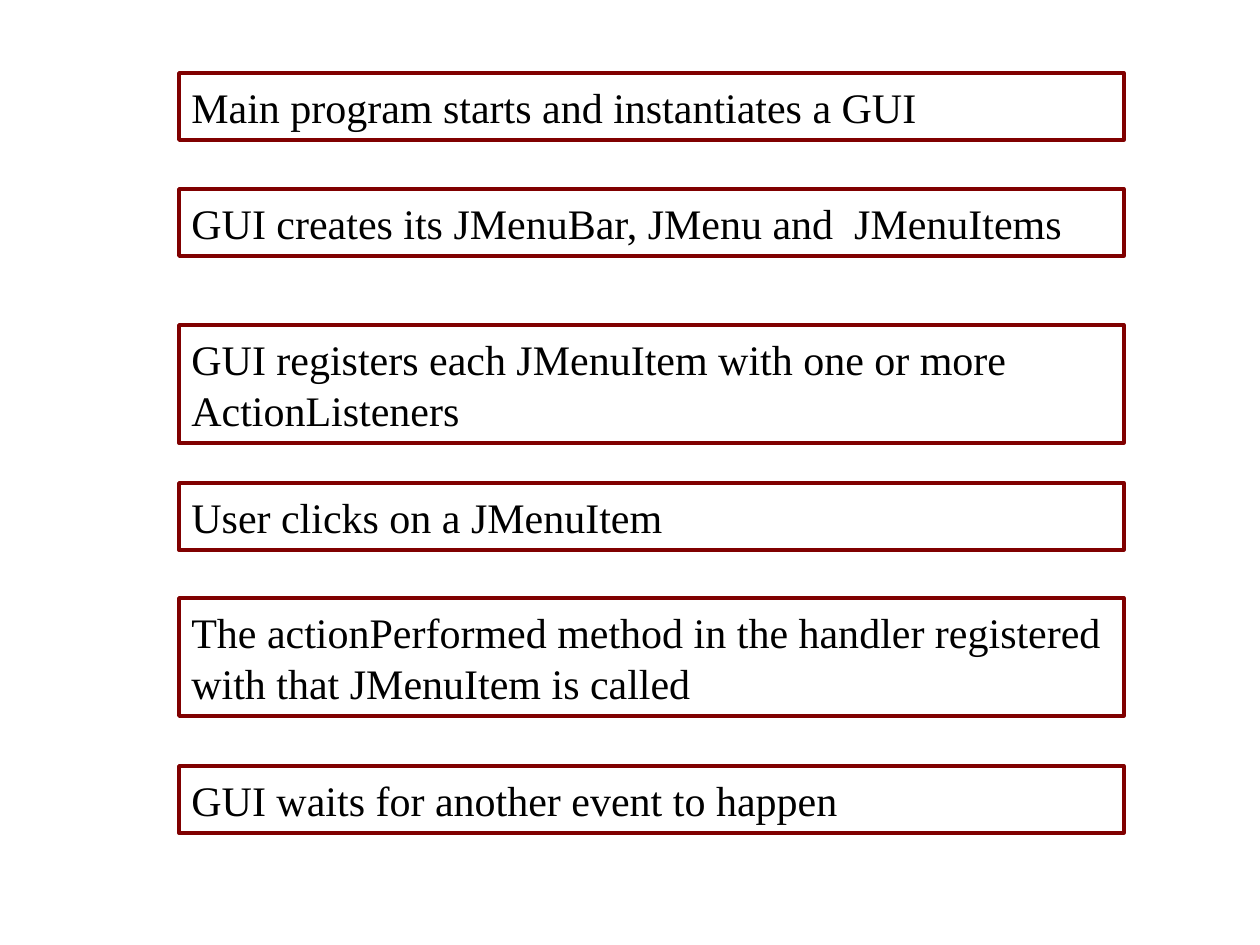
import dataclasses
import pptx
import pptx.dml.color
import pptx.enum.text
import pptx.util

SCALE = 914400 // 126
LEFT, WIDTH = 179, 945
PAD, LINE = 16, 51
FONT = "Times New Roman"


@dataclasses.dataclass
class Step:
    top: int
    text: str
    lines: int = 1


STEPS = [
    Step(73, "Main program starts and instantiates a GUI"),
    Step(189, "GUI creates its JMenuBar, JMenu and  JMenuItems"),
    Step(325, "GUI registers each JMenuItem with one or more ActionListeners", 2),
    Step(483, "User clicks on a JMenuItem"),
    Step(598, "The actionPerformed method in the handler registered with that JMenuItem is called", 2),
    Step(766, "GUI waits for another event to happen"),
]


def px(size: int) -> int:
    return pptx.util.Emu(size * SCALE)


def color(code: str) -> pptx.dml.color.RGBColor:
    return pptx.dml.color.RGBColor.from_string(code)


def draw(slide, step: Step) -> None:
    high = PAD + LINE * step.lines
    box = slide.shapes.add_textbox(px(LEFT), px(step.top), px(WIDTH), px(high))
    box.line.color.rgb = color("800000")
    box.line.width = pptx.util.Pt(2)
    frame = box.text_frame
    frame.word_wrap = True
    frame.vertical_anchor = pptx.enum.text.MSO_ANCHOR.MIDDLE
    frame.text = step.text
    para = frame.paragraphs[0]
    para.line_spacing = pptx.util.Pt(29)
    font = para.runs[0].font
    font.name = FONT
    font.size = pptx.util.Pt(24)
    font.color.rgb = color("000000")


def main() -> None:
    deck = pptx.Presentation()
    deck.slide_width = px(1260)
    deck.slide_height = px(945)
    slide = deck.slides.add_slide(deck.slide_layouts[6])
    for step in STEPS:
        draw(slide, step)
    deck.save("out.pptx")


if __name__ == "__main__":
    main()
